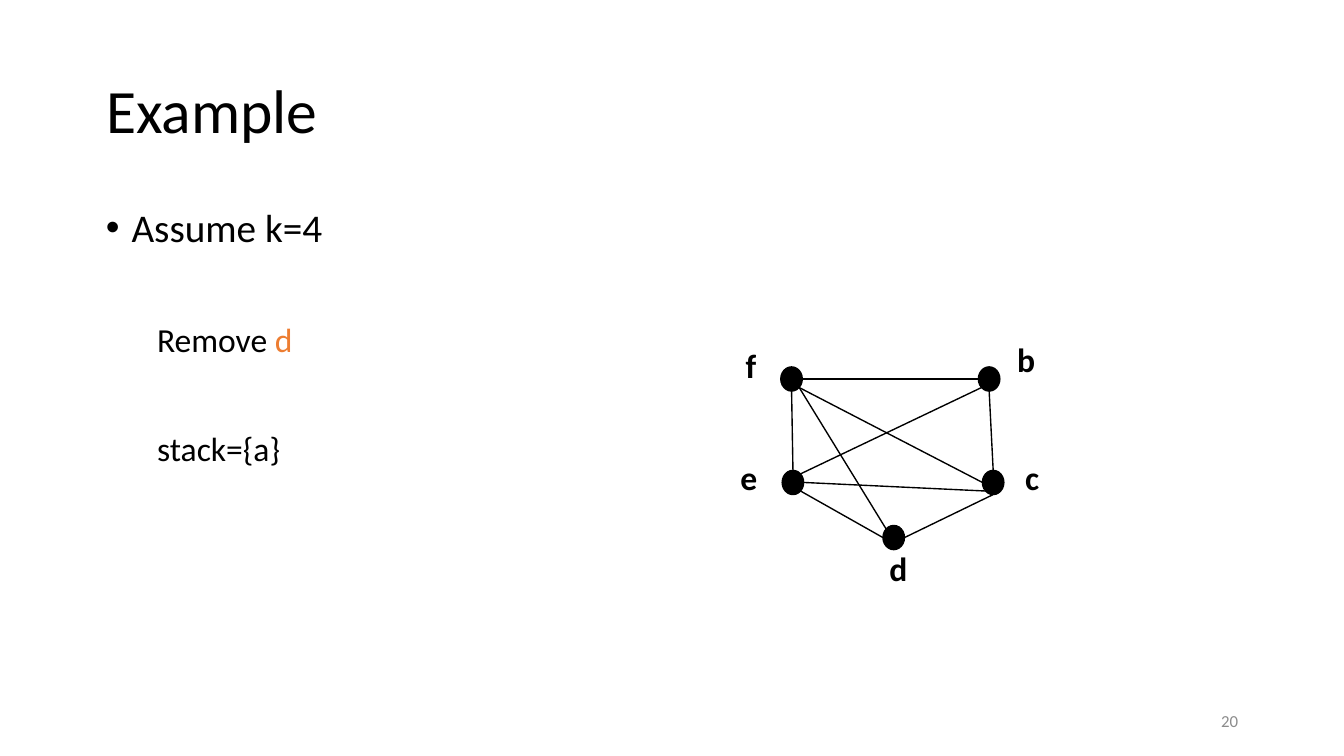
from math import cos, radians, sin

from lxml import etree
from pptx import Presentation
from pptx.dml.color import RGBColor
from pptx.enum.shapes import MSO_CONNECTOR, MSO_SHAPE
from pptx.enum.text import MSO_ANCHOR, MSO_AUTO_SIZE, PP_ALIGN
from pptx.oxml.ns import qn
from pptx.util import Inches, Pt

COLORS = {"text": "000000", "accent": "ED7D31", "number": "8C8C8C"}
FONT = "Calibri"
SLIDE_WIDTH = Inches(10)
SLIDE_HEIGHT = SLIDE_WIDTH * 9 // 16
NODE_WIDTH, NODE_HEIGHT = 0.16, 0.18

# Node position and label box, relative to the graph's box
NODES = {
    "b": ((1.87, 0.26), (2.06, 0, 0.64, 0.4)),
    "c": ((1.9, 1.03), (2.12, 0.88, 0.76, 0.4)),
    "d": ((1.16, 1.44), (1.11, 1.56, 0.76, 0.4)),
    "f": ((0.4, 0.26), (0.04, 0.05, 0.69, 0.4)),
    "e": ((0.41, 1.03), (0, 0.88, 0.63, 0.4)),
}
# Each end is a node and the side of its ellipse
EDGES = [
    ("e", "top", "f", "bottom"),
    ("d", "top left", "f", "bottom right"),
    ("d", "left", "e", "bottom right"),
    ("b", "left", "f", "right"),
    ("c", "left", "f", "bottom right"),
    ("b", "bottom", "c", "top"),
    ("c", "bottom left", "e", "right"),
    ("c", "bottom", "d", "right"),
    ("b", "bottom left", "e", "top right"),
]
SIDES = ["right", "bottom right", "bottom", "bottom left",
         "left", "top left", "top", "top right"]


def rgb(name):
    return RGBColor.from_string(COLORS[name])


def set_format(target, **values):
    for name, value in values.items():
        setattr(target, name, value)


def add_run(paragraph, text, size, color="text", bold=False):
    run = paragraph.add_run()
    run.text = text
    set_format(run.font, name=FONT, size=Pt(size), bold=bold)
    run.font.color.rgb = rgb(color)


def add_text_box(shapes, box, **frame_format):
    frame = shapes.add_textbox(*map(Inches, box)).text_frame
    set_format(frame, word_wrap=True, **frame_format)
    return frame


def add_title(slide, box, text):
    title = slide.shapes.title
    set_format(title, **dict(zip(("left", "top", "width", "height"), map(Inches, box))))
    set_format(title.text_frame, vertical_anchor=MSO_ANCHOR.MIDDLE, word_wrap=True)
    paragraph = title.text_frame.paragraphs[0]
    set_format(paragraph, alignment=PP_ALIGN.LEFT, line_spacing=0.9)
    add_run(paragraph, text, 33)


def add_body(slide, box):
    frame = add_text_box(slide.shapes, box)
    bullet = frame.paragraphs[0]
    properties = bullet._p.get_or_add_pPr()
    set_format(bullet, line_spacing=0.9, space_after=Pt(6))
    properties.set("marL", str(Inches(0.19)))
    properties.set("indent", str(-Inches(0.19)))
    etree.SubElement(properties, qn("a:buFont")).set("typeface", "Arial")
    etree.SubElement(properties, qn("a:buChar")).set("char", "•")
    add_run(bullet, "Assume k=4", 21)

    for runs in ([("Remove ", "text"), ("d", "accent")], [("stack={a}", "text")]):
        paragraph = frame.add_paragraph()
        set_format(paragraph, level=1, line_spacing=0.9,
                   space_before=Pt(32.9), space_after=Pt(6))
        paragraph._p.get_or_add_pPr().set("marL", str(Inches(0.38)))
        for text, color in runs:
            add_run(paragraph, text, 18, color)


def add_slide_number(slide, box, text):
    frame = add_text_box(slide.shapes, box, vertical_anchor=MSO_ANCHOR.MIDDLE)
    frame.paragraphs[0].alignment = PP_ALIGN.RIGHT
    add_run(frame.paragraphs[0], text, 9, "number")


def add_node(slide, left, top, label, label_box):
    group = slide.shapes.add_group_shape()
    dot = group.shapes.add_shape(
        MSO_SHAPE.OVAL, *map(Inches, (left, top, NODE_WIDTH, NODE_HEIGHT)))
    dot.shadow.inherit = False
    dot.fill.solid()
    dot.fill.fore_color.rgb = rgb("text")
    dot.line.color.rgb = rgb("text")
    dot.line.width = Pt(0.75)
    frame = add_text_box(group.shapes, label_box,
                         auto_size=MSO_AUTO_SIZE.SHAPE_TO_FIT_TEXT)
    add_run(frame.paragraphs[0], label, 18, bold=True)


def rim_point(left, top, side):
    """Return the point of a node's rim on the named side."""
    angle = radians(45 * SIDES.index(side))
    return (left + NODE_WIDTH / 2 * (1 + cos(angle)),
            top + NODE_HEIGHT / 2 * (1 + sin(angle)))


def add_edge(slide, start, end):
    edge = slide.shapes.add_connector(
        MSO_CONNECTOR.STRAIGHT, *map(Inches, (*start, *end)))
    edge.line.color.rgb = rgb("text")
    edge.line.width = Pt(0.75)
    etree.SubElement(edge._element.spPr, qn("a:effectLst"))


def add_graph(slide, left, top):
    corners = {}
    for name, ((x, y), (label_x, label_y, width, height)) in NODES.items():
        corners[name] = (left + x, top + y)
        add_node(slide, *corners[name], name,
                 (left + label_x, top + label_y, width, height))
    for start, start_side, end, end_side in EDGES:
        add_edge(slide, rim_point(*corners[start], start_side),
                 rim_point(*corners[end], end_side))


def main():
    presentation = Presentation()
    set_format(presentation, slide_width=SLIDE_WIDTH, slide_height=SLIDE_HEIGHT)
    slide = presentation.slides.add_slide(presentation.slide_layouts[5])
    add_title(slide, (0.69, 0.3, 8.62, 1.09), "Example")
    add_body(slide, (0.69, 1.5, 8.62, 3.57))
    add_slide_number(slide, (7.06, 5.21, 2.25, 0.3), "20")
    add_graph(slide, 5.41, 2.47)
    presentation.save("out.pptx")


if __name__ == "__main__":
    main()
